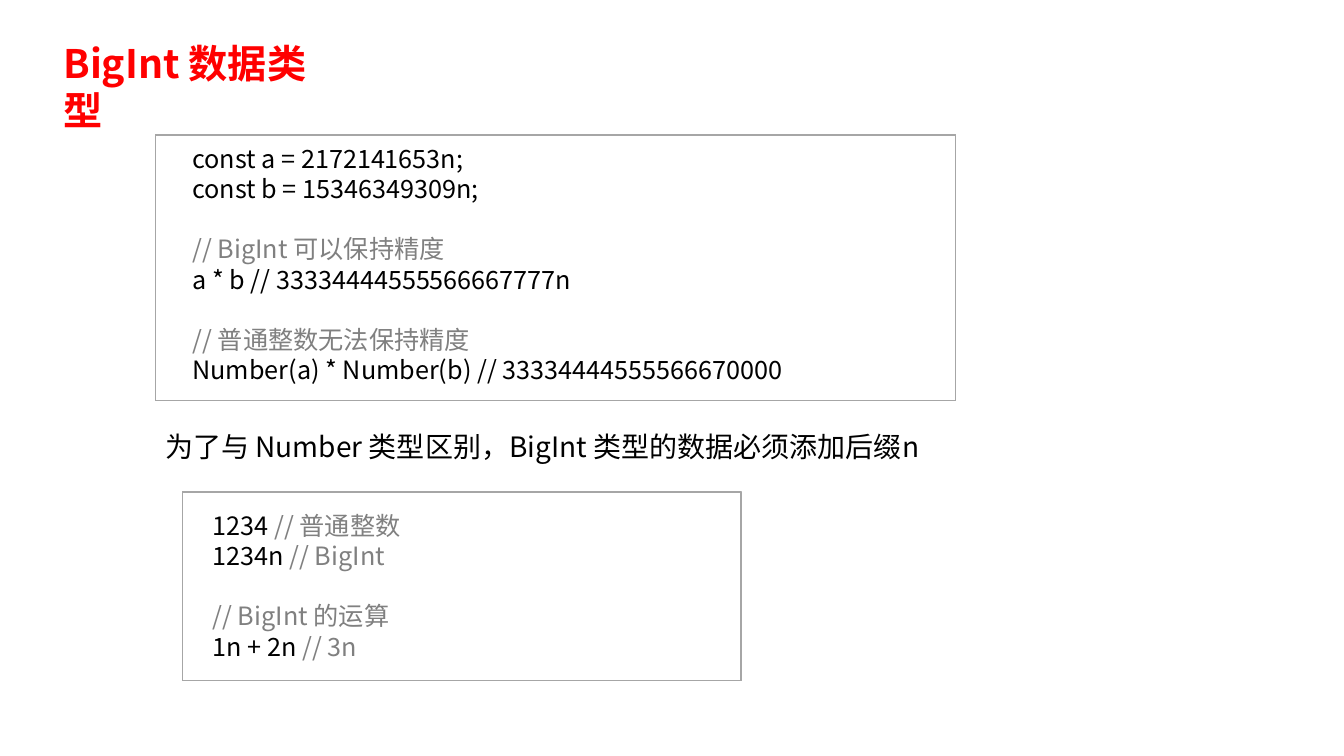
"""Build a slide that introduces the BigInt data type with two code samples."""
import pptx
import pptx.dml.color
import pptx.enum.shapes
import pptx.enum.text
import pptx.util
from lxml import etree

COLORS = {"title": "FF0000", "code": "000000", "comment": "808080", "border": "A6A6A6"}
FONT = "Noto Sans CJK SC"
DRAWING = "{http://schemas.openxmlformats.org/drawingml/2006/main}"

prs = pptx.Presentation()
prs.slide_width = pptx.util.Inches(13.33)
prs.slide_height = pptx.util.Inches(7.5)
s = prs.slides.add_slide(prs.slide_layouts[6])


def area(left, top, width, height):
    """Turn percentages of the slide into lengths."""
    w, h = prs.slide_width / 100, prs.slide_height / 100
    return int(left * w), int(top * h), int(width * w), int(height * h)


def add_text(lines, at, size=18, bold=False):
    """Write lines of (text, color) runs; a newline in a run is a line break."""
    tf = s.shapes.add_textbox(*area(*at)).text_frame
    tf.word_wrap = True
    tf.auto_size = pptx.enum.text.MSO_AUTO_SIZE.SHAPE_TO_FIT_TEXT
    for i, line in enumerate(lines):
        p = tf.paragraphs[0] if i == 0 else tf.add_paragraph()
        p.font.size = pptx.util.Pt(size)
        for text, color in line:
            if text == "\n":
                p.add_line_break()
                continue
            r = p.add_run()
            r.text = text
            r.font.size = pptx.util.Pt(size)
            r.font.bold = bold
            r.font.name = FONT
            r.font.color.rgb = pptx.dml.color.RGBColor.from_string(COLORS[color])
            etree.SubElement(r.font._element, DRAWING + "ea", typeface=FONT)


add_text([[("BigInt 数据类型", "title")]], at=(3.98, 4.53, 22.06, 7.6), size=28, bold=True)

add_text([
    [("const a = 2172141653n;", "code")],
    [("const b = 15346349309n;", "code")],
    [("\n", "code"), ("// BigInt 可以保持精度", "comment")],
    [("a * b // 33334444555566667777n", "code")],
    [("\n", "code"), ("// 普通整数无法保持精度", "comment")],
    [("Number(a) * Number(b) // 33334444555566670000", "code")],
], at=(13.58, 18.27, 55.66, 33.6))

add_text([[("为了与 Number 类型区别，BigInt 类型的数据必须添加后缀n", "code")]],
         at=(11.55, 56.13, 58.59, 5.87), size=20)

add_text([
    [("1234 ", "code"), ("// 普通整数", "comment")],
    [("1234n ", "code"), ("// BigInt", "comment")],
    [("\n", "code"), ("// BigInt 的运算", "comment")],
    [("1n + 2n ", "code"), ("// 3n", "comment")],
], at=(15.08, 66.8, 26.33, 21.6))

for at in [(11.55, 17.87, 59.56, 35.07), (13.58, 65.07, 41.56, 24.93)]:
    sp = s.shapes.add_shape(pptx.enum.shapes.MSO_SHAPE.FRAME, *area(*at))
    sp.adjustments[0] = 0
    sp.shadow.inherit = False
    sp.fill.solid()
    sp.fill.fore_color.rgb = pptx.dml.color.RGBColor.from_string(COLORS["comment"])
    sp.line.color.rgb = pptx.dml.color.RGBColor.from_string(COLORS["border"])
    sp.line.width = pptx.util.Pt(1)

prs.save("out.pptx")
